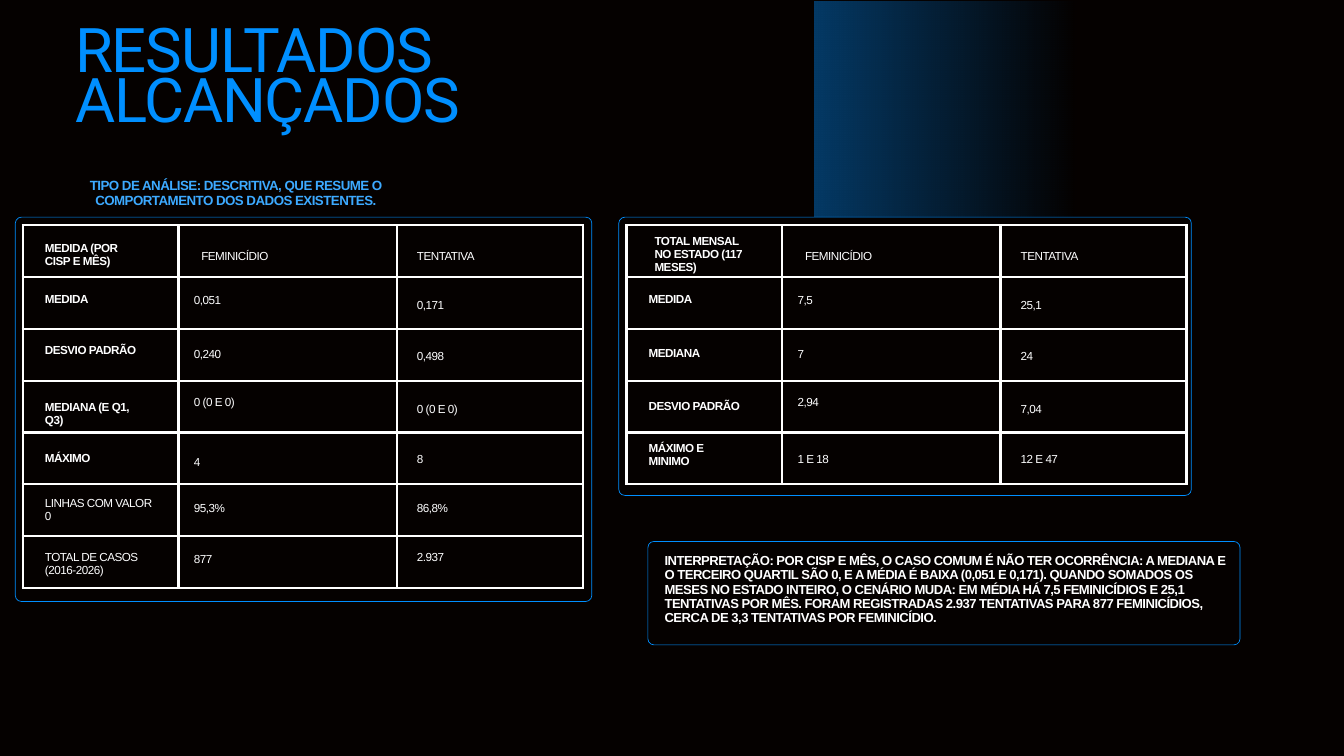
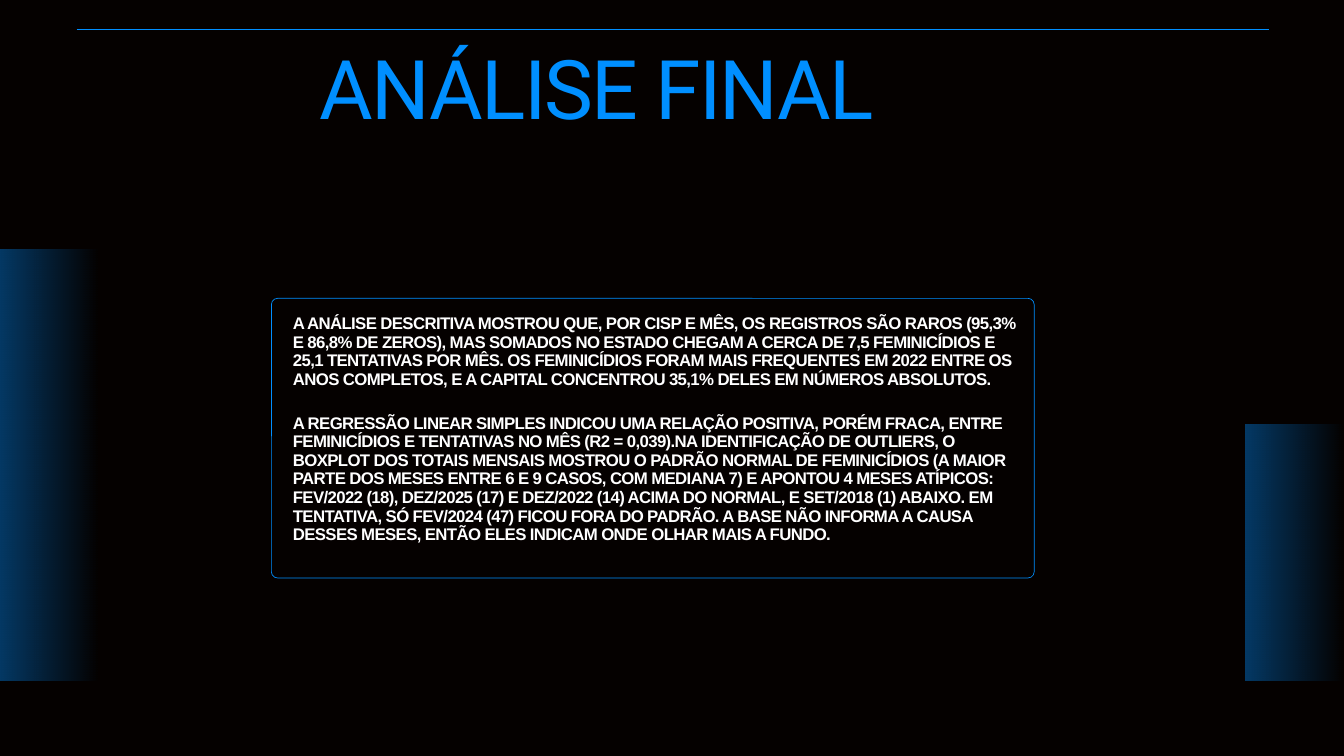
from dataclasses import dataclass

from lxml import etree
from pptx import Presentation
from pptx.dml.color import RGBColor
from pptx.enum.shapes import MSO_CONNECTOR, MSO_SHAPE
from pptx.enum.text import MSO_ANCHOR, MSO_AUTO_SIZE, PP_ALIGN
from pptx.oxml.ns import qn
from pptx.slide import Slide
from pptx.text.text import TextFrame
from pptx.util import Cm, Pt

RECTANGLE, ROUNDED = MSO_SHAPE.RECTANGLE, MSO_SHAPE.ROUNDED_RECTANGLE
STRAIGHT = MSO_CONNECTOR.STRAIGHT
TOP, NO_AUTOFIT = MSO_ANCHOR.TOP, MSO_AUTO_SIZE.NONE
LEFT, CENTER = PP_ALIGN.LEFT, PP_ALIGN.CENTER

BLACK = RGBColor(0x05, 0x01, 0x00)
BLUE = RGBColor(0x00, 0x8F, 0xFF)
GLOW_BLUE = RGBColor(0x03, 0x8F, 0xFF)
LIGHT_BLUE = RGBColor(0x3D, 0xAA, 0xFF)
WHITE = RGBColor(0xFF, 0xFF, 0xFF)

BODY_FONT, TITLE_FONT = "Arial", "Roboto"
LINE_WIDTH, BORDER_WIDTH = 0.75, 2.68
CORNER_RADIUS = 0.23
GLOW_OPACITY = 40

TABLE_TOP, ROW_HEIGHT = 8.51, 1.96
COLUMN_WIDTHS = (5.89, 8.25, 7.03)
BODY_INDENTS = (0.84, 0.58, 0.76)
LABEL_WIDTH, VALUE_WIDTH = 3.56, 4.14
TEXT_LINE = 0.49


@dataclass(frozen=True)
class Box:
    """Position and size in centimetres."""
    left: float
    top: float
    width: float
    height: float

    def emu(self) -> tuple[Cm, Cm, Cm, Cm]:
        return Cm(self.left), Cm(self.top), Cm(self.width), Cm(self.height)


@dataclass(frozen=True)
class Row:
    """Texts of a row and the distance of each from the top of the row."""
    texts: tuple[str, str, str]
    insets: tuple[float, float, float]
    label_lines: int = 1
    bold_label: bool = True


@dataclass(frozen=True)
class StatsTable:
    left: float
    panel: Box
    header_indents: tuple[float, float, float]
    rows: tuple[Row, ...]


HEADINGS = ("FEMINICÍDIO", "TENTATIVA")

CISP_TABLE = StatsTable(0.86, Box(0.58, 8.21, 21.79, 14.53), (0.84, 0.86, 0.76), (
    Row(("MEDIDA (POR CISP E MÊS)", *HEADINGS), (0.64, 0.94, 0.94), 2),
    Row(("MEDIDA", "0,051", "0,171"), (0.61, 0.66, 0.84)),
    Row(("DESVIO PADRÃO", "0,240", "0,498"), (0.58, 0.72, 0.8)),
    Row(("MEDIANA (E Q1, Q3)", "0 (0 E 0)", "0 (0 E 0)"), (0.76, 0.58, 0.83), 2),
    Row(("MÁXIMO", "4", "8"), (0.73, 0.9, 0.78)),
    Row(("LINHAS COM VALOR 0", "95,3%", "86,8%"), (0.47, 0.65, 0.65), 2, False),
    Row(("TOTAL DE CASOS (2016-2026)", "877", "2.937"), (0.56, 0.64, 0.56), 2, False),
))

STATE_TABLE = StatsTable(23.68, Box(23.39, 8.21, 21.64, 10.52), (1.06, 0.86, 0.76), (
    Row(("TOTAL MENSAL NO ESTADO (117 MESES)", *HEADINGS), (0.38, 0.94, 0.94), 3),
    Row(("MEDIDA", "7,5", "25,1"), (0.61, 0.66, 0.84)),
    Row(("MEDIANA", "7", "24"), (0.7, 0.72, 0.8)),
    Row(("DESVIO PADRÃO", "2,94", "7,04"), (0.73, 0.58, 0.83)),
    Row(("MÁXIMO E MINIMO", "1 E 18", "12 E 47"), (0.37, 0.78, 0.78), 2),
))

INTERPRETATION = (
    "INTERPRETAÇÃO: POR CISP E MÊS, O CASO COMUM É NÃO TER OCORRÊNCIA: A MEDIANA E O "
    "TERCEIRO QUARTIL SÃO 0, E A MÉDIA É BAIXA (0,051 E 0,171). QUANDO SOMADOS OS MESES "
    "NO ESTADO INTEIRO, O CENÁRIO MUDA: EM MÉDIA HÁ 7,5 FEMINICÍDIOS E 25,1 TENTATIVAS "
    "POR MÊS. FORAM REGISTRADAS 2.937 TENTATIVAS PARA 877 FEMINICÍDIOS, CERCA DE 3,3 "
    "TENTATIVAS POR FEMINICÍDIO."
)
DESCRIPTIVE_FINDINGS = (
    "A ANÁLISE DESCRITIVA MOSTROU QUE, POR CISP E MÊS, OS REGISTROS SÃO RAROS (95,3% E "
    "86,8% DE ZEROS), MAS SOMADOS NO ESTADO CHEGAM A CERCA DE 7,5 FEMINICÍDIOS E 25,1 "
    "TENTATIVAS POR MÊS. OS FEMINICÍDIOS FORAM MAIS FREQUENTES EM 2022 ENTRE OS ANOS "
    "COMPLETOS, E A CAPITAL CONCENTROU 35,1% DELES EM NÚMEROS ABSOLUTOS."
)
REGRESSION_FINDINGS = (
    "A REGRESSÃO LINEAR SIMPLES INDICOU UMA RELAÇÃO POSITIVA, PORÉM FRACA, ENTRE "
    "FEMINICÍDIOS E TENTATIVAS NO MÊS (R2 = 0,039).NA IDENTIFICAÇÃO DE OUTLIERS, O "
    "BOXPLOT DOS TOTAIS MENSAIS MOSTROU O PADRÃO NORMAL DE FEMINICÍDIOS (A MAIOR PARTE "
    "DOS MESES ENTRE 6 E 9 CASOS, COM MEDIANA 7) E APONTOU 4 MESES ATÍPICOS: FEV/2022 "
    "(18), DEZ/2025 (17) E DEZ/2022 (14) ACIMA DO NORMAL, E SET/2018 (1) ABAIXO. EM "
    "TENTATIVA, SÓ FEV/2024 (47) FICOU FORA DO PADRÃO. A BASE NÃO INFORMA A CAUSA "
    "DESSES MESES, ENTÃO ELES INDICAM ONDE OLHAR MAIS A FUNDO."
)


def write(tf: TextFrame, text: str, *, size: float, pitch: float, spacing: float,
          color: RGBColor = WHITE, font: str = BODY_FONT, bold: bool = False,
          align: PP_ALIGN = LEFT) -> None:
    """Fill a frame with one paragraph; pitch and spacing are in points."""
    tf.word_wrap = True
    tf.auto_size = NO_AUTOFIT
    tf.vertical_anchor = TOP
    tf.margin_left = tf.margin_right = tf.margin_top = tf.margin_bottom = 0
    p = tf.paragraphs[0]
    p.alignment = align
    p.line_spacing = Pt(pitch)
    r = p.add_run()
    r.text = text
    r.font.size = Pt(size)
    r.font.name = font
    r.font.bold = bold
    r.font.color.rgb = color
    r.font._element.set("spc", str(round(spacing * 100)))


def add_text(slide: Slide, box: Box, text: str, **style) -> None:
    write(slide.shapes.add_textbox(*box.emu()).text_frame, text, **style)


def set_title(slide: Slide, box: Box, text: str, **style) -> None:
    title = slide.shapes.title
    title.left, title.top, title.width, title.height = box.emu()
    write(title.text_frame, text, color=BLUE, font=TITLE_FONT, **style)


def add_glow(slide: Slide, box: Box) -> None:
    """Draw a blue band that fades out to the right."""
    s = slide.shapes.add_shape(RECTANGLE, *box.emu())
    s.shadow.inherit = False
    s.line.fill.background()
    s.fill.gradient()
    s.fill.gradient_angle = 0
    for stop, opacity in zip(s.fill.gradient_stops, (GLOW_OPACITY, 0)):
        stop.color.rgb = GLOW_BLUE
        rgb = stop._gs.find(qn("a:srgbClr"))
        etree.SubElement(rgb, qn("a:alpha"), val=str(opacity * 1000))


def add_panel(slide: Slide, box: Box) -> None:
    s = slide.shapes.add_shape(ROUNDED, *box.emu())
    s.shadow.inherit = False
    s.adjustments[0] = CORNER_RADIUS / min(box.width, box.height)
    s.fill.solid()
    s.fill.fore_color.rgb = BLACK
    s.line.color.rgb = BLUE
    s.line.width = Pt(LINE_WIDTH)


def add_rule(slide: Slide, left: float, right: float, top: float) -> None:
    line = slide.shapes.add_connector(STRAIGHT, Cm(left), Cm(top), Cm(right), Cm(top))
    line.line.color.rgb = BLUE
    line.line.width = Pt(LINE_WIDTH)
    etree.SubElement(line._element.spPr, qn("a:effectLst"))


def set_borders(cell) -> None:
    tc_pr = cell._tc.get_or_add_tcPr()
    for index, side in enumerate(("lnL", "lnR", "lnT", "lnB")):
        ln = etree.Element(qn(f"a:{side}"), w=str(Pt(BORDER_WIDTH)))
        fill = etree.SubElement(ln, qn("a:solidFill"))
        etree.SubElement(fill, qn("a:srgbClr"), val=str(WHITE))
        tc_pr.insert(index, ln)


def add_grid(slide: Slide, left: float, row_count: int) -> None:
    box = Box(left, TABLE_TOP, sum(COLUMN_WIDTHS), ROW_HEIGHT * row_count)
    table = slide.shapes.add_table(row_count, len(COLUMN_WIDTHS), *box.emu()).table
    table.first_row = table.horz_banding = False
    for column, width in zip(table.columns, COLUMN_WIDTHS):
        column.width = Cm(width)
    for row in table.rows:
        row.height = Cm(ROW_HEIGHT)
    for cell in table.iter_cells():
        cell.fill.background()
        set_borders(cell)


def add_stats_table(slide: Slide, stats: StatsTable) -> None:
    """Draw a panel, its grid, and the texts placed freely over the grid."""
    add_panel(slide, stats.panel)
    add_grid(slide, stats.left, len(stats.rows))
    for i, row in enumerate(stats.rows):
        indents = BODY_INDENTS if i else stats.header_indents
        for j, text in enumerate(row.texts):
            bold = j == 0 and row.bold_label
            lines = 1 if j else row.label_lines
            box = Box(stats.left + sum(COLUMN_WIDTHS[:j]) + indents[j],
                      TABLE_TOP + i * ROW_HEIGHT + row.insets[j],
                      LABEL_WIDTH if bold else VALUE_WIDTH, lines * TEXT_LINE)
            add_text(slide, box, text, size=12.5, pitch=13.8, spacing=-0.5, bold=bold)


def build_results(slide: Slide) -> None:
    add_glow(slide, Box(30.78, 0.05, 9.93, 8.56))
    set_title(slide, Box(2.84, 1.32, 27.86, 4.04), "RESULTADOS ALCANÇADOS",
              size=66, pitch=53.5, spacing=-1.25)
    add_text(slide, Box(1.4, 6.76, 15.04, 1.22),
             "TIPO DE ANÁLISE: DESCRITIVA, QUE RESUME O COMPORTAMENTO DOS DADOS EXISTENTES.",
             size=14.3, pitch=15.8, spacing=-0.57, color=LIGHT_BLUE, bold=True, align=CENTER)
    for stats in (CISP_TABLE, STATE_TABLE):
        add_stats_table(slide, stats)
    add_panel(slide, Box(24.49, 20.47, 22.38, 3.91))
    add_text(slide, Box(25.12, 20.93, 21.41, 2.92), INTERPRETATION,
             size=14, pitch=15.4, spacing=-0.57, bold=True)


def build_conclusion(slide: Slide) -> None:
    for glow in (Box(0, 9.45, 3.71, 16.27), Box(47.09, 16.04, 3.71, 9.68)):
        add_glow(slide, glow)
    add_rule(slide, 2.9, 47.98, 1.1)
    set_title(slide, Box(12.09, 2.62, 26.42, 2.87), "ANÁLISE FINAL",
              size=88.1, pitch=71.3, spacing=-1.8)
    add_panel(slide, Box(10.26, 11.28, 28.83, 10.57))
    for top, height, text in ((11.89, 3.02, DESCRIPTIVE_FINDINGS),
                              (15.65, 5.26, REGRESSION_FINDINGS)):
        add_text(slide, Box(11.07, top, 27.61, height), text,
                 size=18, pitch=19.9, spacing=-0.69, bold=True)


def main() -> None:
    prs = Presentation()
    prs.slide_width, prs.slide_height = Cm(50.8), Cm(28.58)
    background = prs.slide_master.background.fill
    background.solid()
    background.fore_color.rgb = BLACK
    title_only = prs.slide_layouts.get_by_name("Title Only")
    for build in (build_results, build_conclusion):
        build(prs.slides.add_slide(title_only))
    prs.save("out.pptx")


if __name__ == "__main__":
    main()
